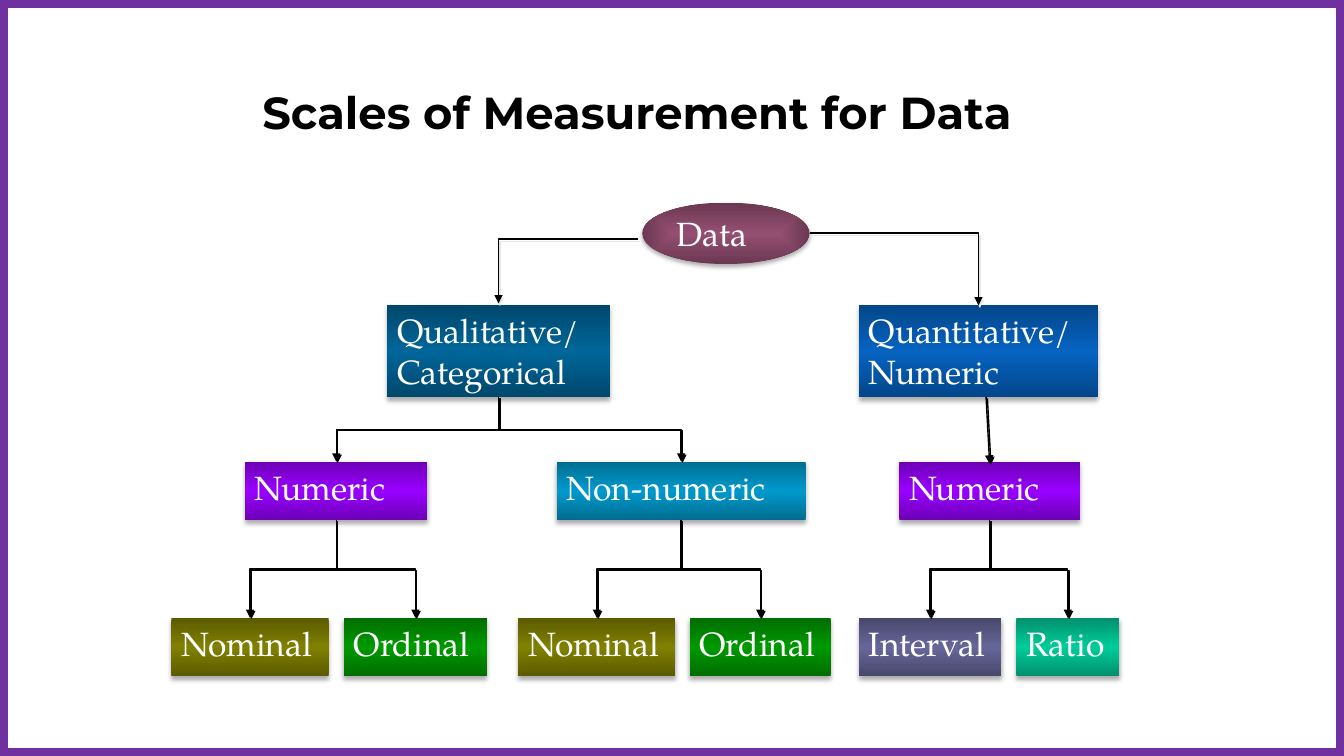
"""Draw a tree of the scales of measurement for data on one slide."""
from dataclasses import dataclass

from lxml.etree import SubElement
from pptx import Presentation
from pptx.dml.color import RGBColor
from pptx.enum.shapes import MSO_CONNECTOR as Link, MSO_SHAPE as Preset
from pptx.enum.text import MSO_ANCHOR as Anchor, MSO_AUTO_SIZE as Fit, PP_ALIGN as Align
from pptx.oxml.ns import qn
from pptx.util import Inches, Pt


@dataclass(frozen=True)
class Theme:
    frame: str = "7030A0"
    ink: str = "000000"
    light: str = "FFFFFF"
    pale_shadow: str = "E7E6E6"
    data: str = "954F72"
    qualitative: str = "006699"
    quantitative: str = "0563C1"
    numeric: str = "9900FF"
    non_numeric: str = "0099CC"
    nominal: str = "808000"
    ordinal: str = "009900"
    interval: str = "666699"
    ratio: str = "00CC99"
    title_font: str = "Montserrat"
    label_font: str = "TeX Gyre Pagella"
    title_size: int = 32
    label_size: int = 24
    frame_width: int = 12
    link_width: int = 1
    edge_shade: int = 46275


@dataclass(frozen=True)
class Node:
    text: str
    left: float
    top: float
    width: float
    height: float
    color: str
    wrap: bool = True
    oval: bool = False

    @property
    def center(self) -> float:
        return self.left + self.width / 2

    @property
    def bottom(self) -> float:
        return self.top + self.height


@dataclass(frozen=True)
class Shadow:
    color: str
    alpha: int
    blur: float
    distance: float
    angle: int


THEME = Theme()
BOX_SHADOW = Shadow(THEME.ink, 32, 3.5, 2.2, 90)
LINK_SHADOW = Shadow(THEME.ink, 100, 0, 1.4, 45)
SIDE_SHADOW = Shadow(THEME.pale_shadow, 100, 0, 2.2, 63)
KIND_TOP, SCALE_TOP, LEAF_TOP = 3.03, 4.58, 6.13
KIND_HEIGHT, ROW_HEIGHT = 0.91, 0.58

DATA = Node("Data", 6.37, 2.01, 1.66, 0.61, THEME.data, False, True)
QUALITATIVE = Node("Qualitative/Categorical", 3.84, KIND_TOP, 2.21, KIND_HEIGHT, THEME.qualitative)
QUANTITATIVE = Node("Quantitative/\nNumeric", 8.52, KIND_TOP, 2.37, KIND_HEIGHT, THEME.quantitative)
NUMERIC = Node("Numeric", 2.43, SCALE_TOP, 1.81, ROW_HEIGHT, THEME.numeric)
MEASURED = Node("Numeric", 8.92, SCALE_TOP, 1.79, ROW_HEIGHT, THEME.numeric)
NON_NUMERIC = Node("Non-numeric", 5.52, SCALE_TOP, 2.47, ROW_HEIGHT, THEME.non_numeric)


def leaf(text: str, left: float, width: float, color: str, wrap: bool = False) -> Node:
    """Return a node of the bottom row."""
    return Node(text, left, LEAF_TOP, width, ROW_HEIGHT, color, wrap)


BRANCHES = {
    QUALITATIVE: (NUMERIC, NON_NUMERIC),
    NUMERIC: (leaf("Nominal", 1.7, 1.56, THEME.nominal, True),
              leaf("Ordinal", 3.41, 1.42, THEME.ordinal, True)),
    NON_NUMERIC: (leaf("Nominal", 5.14, 1.56, THEME.nominal),
                  leaf("Ordinal", 6.84, 1.4, THEME.ordinal)),
    MEASURED: (leaf("Interval", 8.52, 1.41, THEME.interval),
               leaf("Ratio", 10.08, 1.02, THEME.ratio)),
}


def write(box, text: str, *, font: str, size: int, color: str, bold: bool = False,
          align=Align.LEFT, anchor=Anchor.TOP, wrap: bool = True, fit=Fit.NONE) -> None:
    """Fill a shape with formatted paragraphs, one per line of text."""
    frame = box.text_frame
    frame.word_wrap, frame.auto_size, frame.vertical_anchor = wrap, fit, anchor
    frame.text = text
    for para in frame.paragraphs:
        para.alignment = align
        for span in para.runs:
            span.font.name, span.font.size, span.font.bold = font, Pt(size), bold
            span.font.color.rgb = RGBColor.from_string(color)


def add_shadow(item, shadow: Shadow) -> None:
    """Give a shape or connector an outer shadow."""
    properties = item._element.spPr
    effects = properties.find(qn("a:effectLst"))
    if effects is None:
        effects = SubElement(properties, qn("a:effectLst"))
    outer = SubElement(effects, qn("a:outerShdw"), blurRad=str(Pt(shadow.blur)),
                       dist=str(Pt(shadow.distance)), dir=str(shadow.angle * 60000),
                       algn="ctr", rotWithShape="0")
    color = SubElement(outer, qn("a:srgbClr"), val=shadow.color)
    SubElement(color, qn("a:alpha"), val=str(shadow.alpha * 1000))


def shade_fill(box, node: Node) -> None:
    """Fill a box with its colour, darkened towards the edges."""
    box.fill.gradient()
    gradient = box._element.spPr.find(qn("a:gradFill"))
    for child in list(gradient):
        gradient.remove(child)
    stops = SubElement(gradient, qn("a:gsLst"))
    for place, dark in ((0, False), (100, True)) if node.oval else ((0, True), (50, False), (100, True)):
        stop = SubElement(stops, qn("a:gs"), pos=str(place * 1000))
        color = SubElement(stop, qn("a:srgbClr"), val=node.color)
        if dark:
            SubElement(color, qn("a:shade"), val=str(THEME.edge_shade))
    if node.oval:
        route = SubElement(gradient, qn("a:path"), path="shape")
        SubElement(route, qn("a:fillToRect"), dict.fromkeys("ltrb", "50000"))
    else:
        SubElement(gradient, qn("a:lin"), ang="5400000", scaled="1")


def draw_node(page, node: Node) -> None:
    """Draw one node of the tree."""
    box = page.shapes.add_shape(Preset.OVAL if node.oval else Preset.RECTANGLE, Inches(node.left),
                                Inches(node.top), Inches(node.width), Inches(node.height))
    shade_fill(box, node)
    box.line.fill.background()
    box.shadow.inherit = False
    add_shadow(box, BOX_SHADOW)
    write(box, node.text, font=THEME.label_font, size=THEME.label_size, color=THEME.light,
          wrap=node.wrap, anchor=Anchor.MIDDLE if node.oval else Anchor.TOP,
          fit=Fit.NONE if node.oval else Fit.SHAPE_TO_FIT_TEXT)


def draw_arrow(page, kind, x1: float, y1: float, x2: float, y2: float, shadow: Shadow):
    """Draw a connector with an arrowhead at its end."""
    arrow = page.shapes.add_connector(kind, Inches(x1), Inches(y1), Inches(x2), Inches(y2))
    arrow.line.width = Pt(THEME.link_width)
    arrow.line.color.rgb = RGBColor.from_string(THEME.ink)
    SubElement(arrow.line._get_or_add_ln(), qn("a:tailEnd"), type="triangle")
    add_shadow(arrow, shadow)
    return arrow


def draw_side(page, x1: float, y1: float, x2: float, y2: float) -> None:
    """Draw an arrow that runs sideways and then down."""
    arrow = draw_arrow(page, Link.ELBOW, x1, y1, x2, y2, SIDE_SHADOW)
    arrow._element.spPr.find(qn("a:prstGeom")).set("prst", "bentConnector2")


def draw_branch(page, parent: Node, child: Node) -> None:
    """Draw an arrow down, across and down again between two nodes."""
    middle_x, middle_y = (parent.center + child.center) / 2, (parent.bottom + child.top) / 2
    half_drop, half_span = (child.top - parent.bottom) / 2, abs(child.center - parent.center) / 2
    arrow = draw_arrow(page, Link.ELBOW, middle_x - half_drop, middle_y - half_span,
                       middle_x + half_drop, middle_y + half_span, LINK_SHADOW)
    rightward = child.center > parent.center
    turn = arrow._element.spPr.find(qn("a:xfrm"))
    turn.set("rot", str((270 if rightward else 90) * 60000))
    if rightward:
        turn.set("flipH", "1")


def main() -> None:
    """Build the slide and save it."""
    deck = Presentation()
    deck.slide_width, deck.slide_height = Inches(13.33), Inches(7.5)
    page = deck.slides.add_slide(deck.slide_layouts[6])
    border = page.shapes.add_shape(Preset.RECTANGLE, 0, 0, deck.slide_width, deck.slide_height)
    border.fill.background()
    border.line.color.rgb = RGBColor.from_string(THEME.frame)
    border.line.width = Pt(THEME.frame_width)
    border.shadow.inherit = False
    title = page.shapes.add_textbox(Inches(2.07), Inches(0.66), Inches(8.5), Inches(0.89))
    write(title, "Scales of Measurement for Data", font=THEME.title_font, size=THEME.title_size,
          color=THEME.ink, bold=True, align=Align.CENTER, anchor=Anchor.MIDDLE)
    leaves = [child for parent, pair in BRANCHES.items() if parent != QUALITATIVE for child in pair]
    for node in (DATA, QUALITATIVE, QUANTITATIVE, NUMERIC, MEASURED, NON_NUMERIC, *leaves):
        draw_node(page, node)
    draw_side(page, 6.33, 2.37, QUALITATIVE.center, 3.01)
    draw_side(page, 8.03, 2.31, QUANTITATIVE.center, KIND_TOP)
    for parent, children in BRANCHES.items():
        for child in children:
            draw_branch(page, parent, child)
    draw_arrow(page, Link.STRAIGHT, 9.78, QUANTITATIVE.bottom, MEASURED.center, 4.6, LINK_SHADOW)
    deck.save("out.pptx")


if __name__ == "__main__":
    main()
